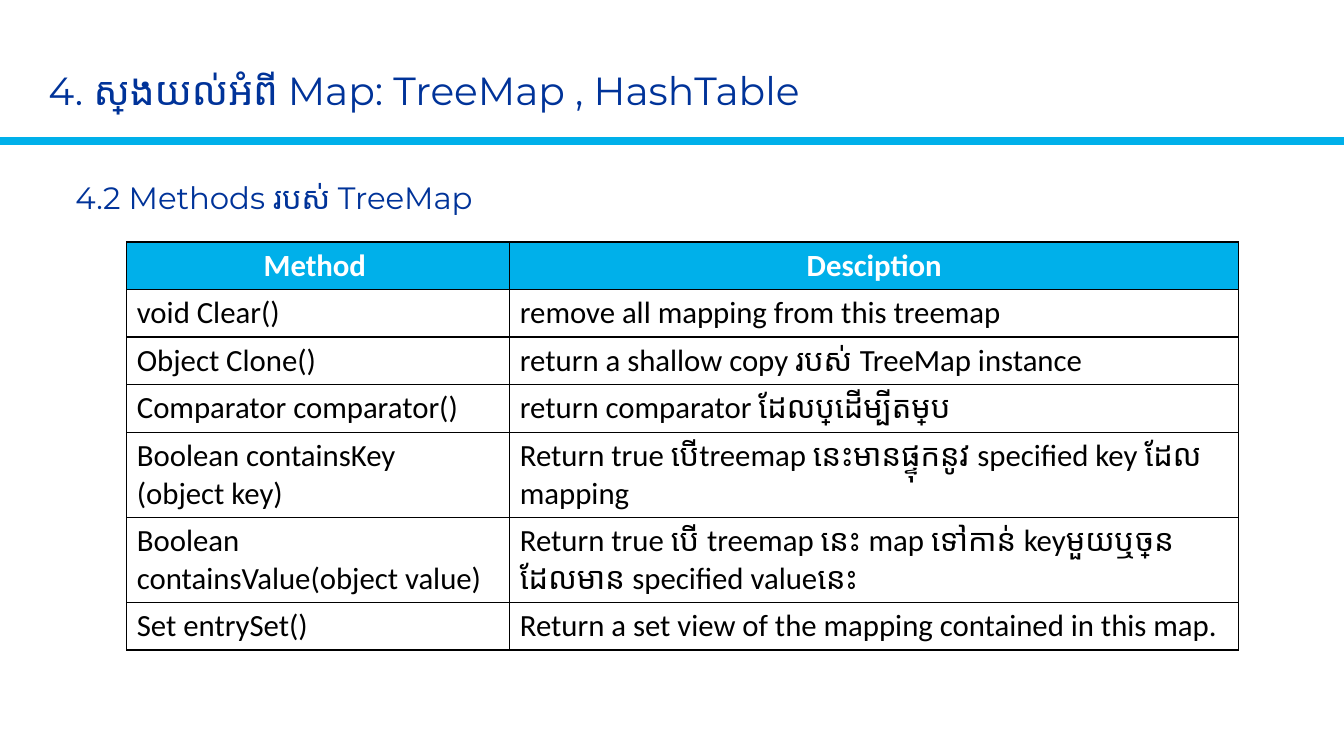
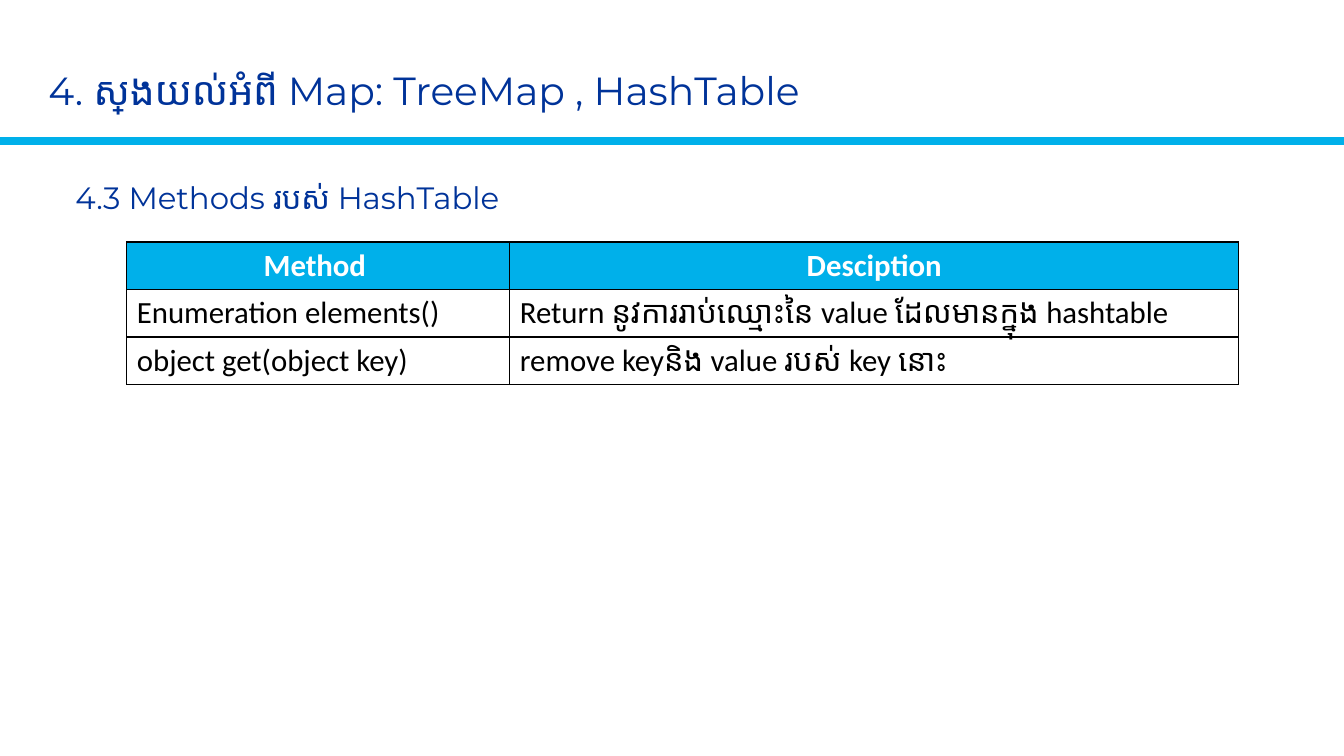
from dataclasses import dataclass

from lxml import etree
from pptx import Presentation
from pptx import util as u
from pptx.dml.color import RGBColor
from pptx.enum import shapes, text
from pptx.oxml import ns

NAVY = RGBColor(0x00, 0x33, 0x99)
SKY = RGBColor(0x00, 0xB0, 0xEA)
WHITE = RGBColor(0xFF, 0xFF, 0xFF)
BLACK = RGBColor(0x00, 0x00, 0x00)

HEADING_FONT = "Montserrat"
TABLE_FONT = "Calibri"

SLIDE_WIDTH = u.Inches(13.33)
SLIDE_HEIGHT = u.Inches(7.5)
GRID_COLUMN = SLIDE_WIDTH / 32
GRID_ROW = SLIDE_HEIGHT / 18

TITLE = "4. ស្វែងយល់អំពី Map: TreeMap , HashTable"
TABLE_HEADER = ("Method ", "Desciption")
TABLE_COLUMNS = (9.12, 17.35)
TABLE_ROW = 0.98
RULE_ROW = 3.36


@dataclass(frozen=True)
class Box:
    column: float
    row: float
    columns: float
    rows: float

    def place(self, shape) -> None:
        shape.left, shape.top = across(self.column), down(self.row)
        shape.width, shape.height = across(self.columns), down(self.rows)


@dataclass(frozen=True)
class MethodSlide:
    heading: str
    methods: tuple[tuple[str, str], ...]


TITLE_BOX = Box(0.91, 0.89, 28.85, 2.66)
HEADING_BOX = Box(1.56, 3.43, 28.85, 2.66)
TABLE_COLUMN, TABLE_TOP = 3.02, 5.76

SLIDES = (
    MethodSlide(
        "4.2 Methods របស់ TreeMap",
        (
            ("void Clear()", "remove all mapping from this treemap"),
            ("Object Clone()", "return a shallow copy របស់ TreeMap instance"),
            ("Comparator comparator()", "return comparator ដែលប្រើដើម្បីតម្រៀប"),
            (
                "Boolean containsKey\n(object key)",
                "Return true បើtreemap នេះមានផ្ទុកនូវ specified key ដែល mapping",
            ),
            (
                "Boolean containsValue(object value)",
                "Return true បើ treemap នេះ map ទៅកាន់ keyមួយឬច្រើនដែលមាន specified valueនេះ",
            ),
            ("Set entrySet()", "Return a set view of the mapping contained in this map."),
        ),
    ),
    MethodSlide(
        "4.3 Methods របស់ HashTable",
        (
            ("Enumeration elements()", "Return នូវការរាប់ឈ្មោះនៃ value ដែលមានក្នុង hashtable"),
            ("object get(object key)", "remove keyនិង value របស់ key នោះ"),
        ),
    ),
)


def across(columns: float) -> u.Emu:
    return u.Emu(round(columns * GRID_COLUMN))


def down(rows: float) -> u.Emu:
    return u.Emu(round(rows * GRID_ROW))


def format_font(paragraph, name: str, size: float, color: RGBColor, bold: bool = False) -> None:
    for run in paragraph.runs:
        run.font.name = name
        run.font.size = u.Pt(size)
        run.font.color.rgb = color
        run.font.bold = bold


def write_heading(shape, wording: str, box: Box, size: float) -> None:
    box.place(shape)
    frame = shape.text_frame
    frame.text = wording
    frame.word_wrap = True
    frame.auto_size = text.MSO_AUTO_SIZE.NONE
    frame.vertical_anchor = text.MSO_ANCHOR.MIDDLE
    paragraph = frame.paragraphs[0]
    paragraph.alignment = text.PP_ALIGN.LEFT
    paragraph.line_spacing = 0.9
    format_font(paragraph, HEADING_FONT, size, NAVY)


def add_rule(slide) -> None:
    height = down(RULE_ROW)
    rule = slide.shapes.add_connector(shapes.MSO_CONNECTOR.STRAIGHT, 0, height, SLIDE_WIDTH, height)
    rule.line.color.rgb = SKY
    rule.line.width = u.Pt(6)
    etree.SubElement(rule._element.spPr, ns.qn("a:effectLst"))


def add_borders(cell) -> None:
    properties = cell._tc.get_or_add_tcPr()
    for side in ("L", "R", "T", "B"):
        border = etree.SubElement(properties, ns.qn(f"a:ln{side}"), w=str(u.Pt(1)))
        fill = etree.SubElement(border, ns.qn("a:solidFill"))
        etree.SubElement(fill, ns.qn("a:srgbClr"), val=str(BLACK))


def format_cell(cell, wording: str, is_header: bool) -> None:
    cell.text = wording
    add_borders(cell)
    if is_header:
        cell.fill.solid()
        cell.fill.fore_color.rgb = SKY
    else:
        cell.fill.background()
    for paragraph in cell.text_frame.paragraphs:
        paragraph.alignment = text.PP_ALIGN.CENTER if is_header else text.PP_ALIGN.LEFT
        format_font(paragraph, TABLE_FONT, 22, WHITE if is_header else BLACK, is_header)


def add_method_table(slide, methods: tuple[tuple[str, str], ...]) -> None:
    rows = (TABLE_HEADER, *methods)
    table = slide.shapes.add_table(
        len(rows),
        len(TABLE_COLUMNS),
        across(TABLE_COLUMN),
        down(TABLE_TOP),
        across(sum(TABLE_COLUMNS)),
        down(TABLE_ROW * len(rows)),
    ).table
    table.horz_banding = False
    for column, columns in zip(table.columns, TABLE_COLUMNS):
        column.width = across(columns)
    for row_index, row in enumerate(rows):
        for column_index, wording in enumerate(row):
            format_cell(table.cell(row_index, column_index), wording, row_index == 0)


def add_method_slide(presentation, content: MethodSlide) -> None:
    slide = presentation.slides.add_slide(presentation.slide_layouts.get_by_name("Title Only"))
    add_rule(slide)
    write_heading(slide.shapes.title, TITLE, TITLE_BOX, 28)
    write_heading(slide.shapes.add_textbox(0, 0, 0, 0), content.heading, HEADING_BOX, 22)
    add_method_table(slide, content.methods)


def main() -> None:
    presentation = Presentation()
    presentation.slide_width = SLIDE_WIDTH
    presentation.slide_height = SLIDE_HEIGHT
    for content in SLIDES:
        add_method_slide(presentation, content)
    presentation.save("out.pptx")


if __name__ == "__main__":
    main()
